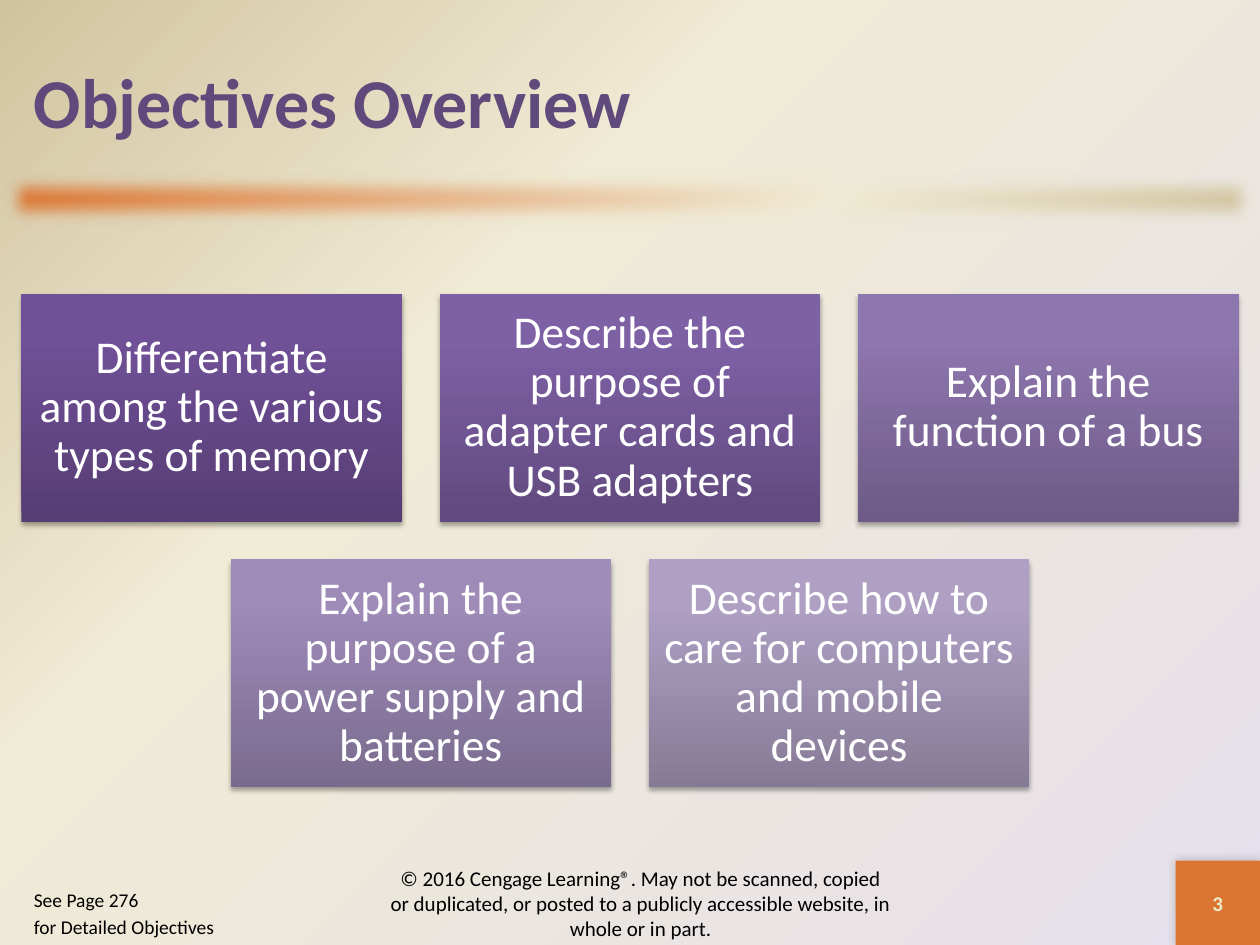
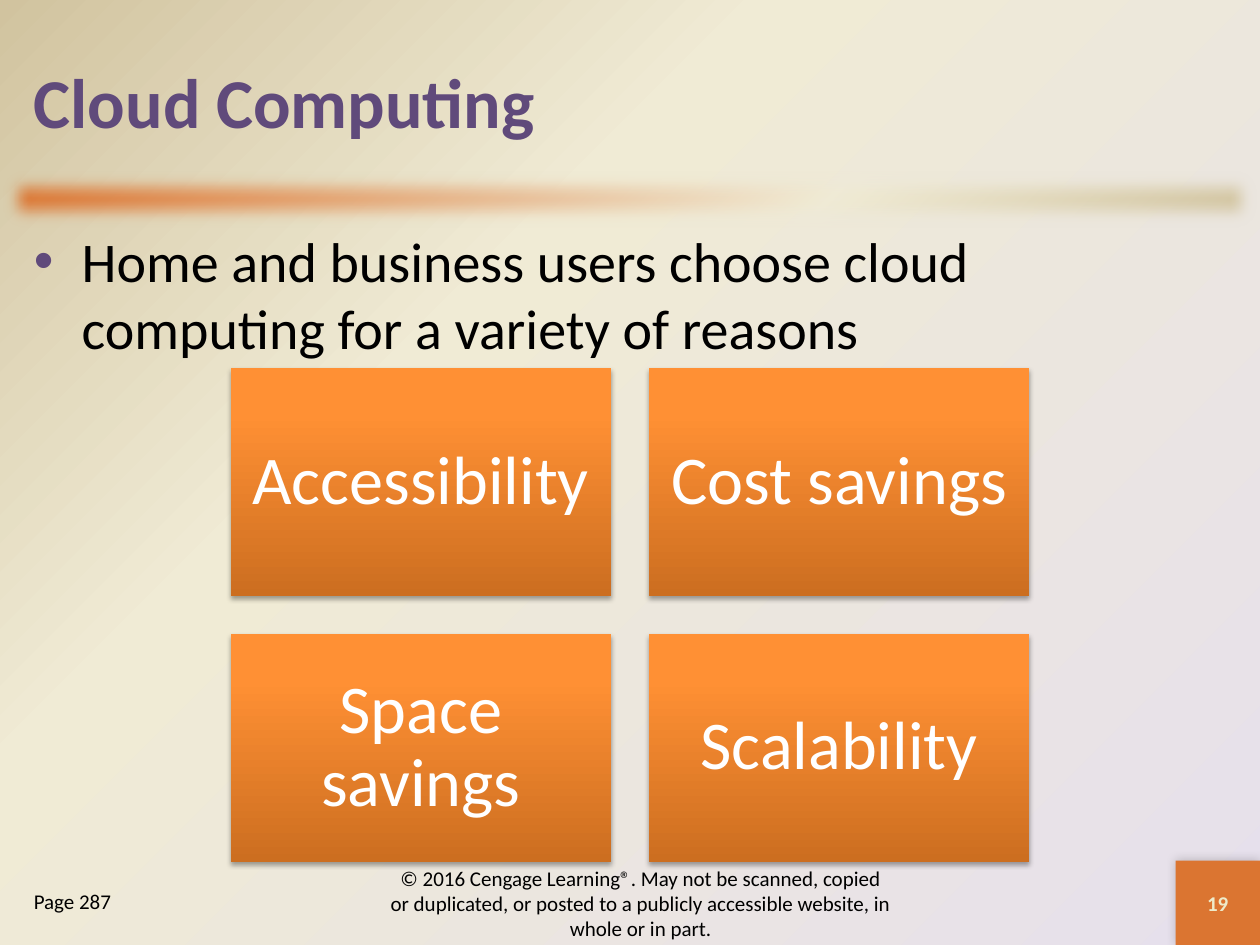
from lxml import etree
from pptx import Presentation
from pptx.dml.color import RGBColor
from pptx.enum.shapes import MSO_SHAPE
from pptx.enum.text import MSO_ANCHOR, PP_ALIGN
from pptx.oxml.ns import qn
from pptx.util import Inches, Pt

RECTANGLE = MSO_SHAPE.RECTANGLE
TOP, MIDDLE = MSO_ANCHOR.TOP, MSO_ANCHOR.MIDDLE
LEFT, CENTER = PP_ALIGN.LEFT, PP_ALIGN.CENTER

WIDTH, HEIGHT = 10, 7.5
MARGIN = 0.17
TILE_W, TILE_H, GAP = 3.02, 1.81, 0.3
SQUARE = 0.67
FONT = "Calibri"
PURPLE, ORANGE, BLACK, WHITE, CREAM = "604A7B", "DB7531", "000000", "FFFFFF", "EEEBCA"

BACKGROUND = [(0, "E6E0EC"), (65, "F0EBD5"), (100, "D1C39F")]
BAND = [(0, ORANGE)] + BACKGROUND[1:]
PURPLE_TILES = [
    ("563D74", "705097", "704F99"),
    ("614A7F", "7E60A5", "7F60A7"),
    ("6D5B86", "8E76AE", "8E75B0"),
    ("796B8E", "9E8BB8", "9E8BBA"),
    ("867B96", "AE9FC3", "AE9FC4"),
]
ORANGE_TILES = [("CC6E20", "FF9034", "FF9136")] * 4
TILE_STOPS = (0, 80, 100)
TILE_SHADOW = {"opacity": 35, "blur": 3.1, "distance": 1.8, "angle": 90}
SQUARE_SHADOW = {"opacity": 20, "blur": 6, "distance": 0, "angle": 225}

COPYRIGHT = ("© 2016 Cengage Learning®. May not be scanned, copied or duplicated, "
             "or posted to a publicly accessible website, in whole or in part.")
SLIDES = [
    {
        "title": "Objectives Overview",
        "number": "3",
        "pages": ["See Page 276", "for Detailed Objectives"],
        "pages_size": 11.1,
        "bullet": None,
        "tile_rows": [
            ["Differentiate among the various types of memory",
             "Describe the purpose of adapter cards and USB adapters",
             "Explain the function of a bus"],
            ["Explain the purpose of a power supply and batteries",
             "Describe how to care for computers and mobile devices"],
        ],
        "tile_colors": PURPLE_TILES, "tiles_top": 2.33, "tile_size": 26, "tile_inset": 0.11,
    },
    {
        "title": "Cloud Computing",
        "number": "19",
        "pages": ["Page 287"],
        "pages_size": 12,
        "bullet": "Home and business users choose cloud computing for a variety of reasons",
        "tile_rows": [["Accessibility", "Cost savings"], ["Space savings", "Scalability"]],
        "tile_colors": ORANGE_TILES, "tiles_top": 2.92, "tile_size": 39, "tile_inset": 0.16,
    },
]


def rgb(color):
    return RGBColor.from_string(color)


def add_xml(parent, tag, **attributes):
    values = {name: str(value) for name, value in attributes.items()}
    return etree.SubElement(parent, qn(tag), values)


def set_gradient(fill, owner, stops, angle=None):
    """Fill with stops of (percent, colour): linear at angle, else round from the lower right."""
    fill.gradient()
    gradient = next(owner.iter(qn("a:gradFill")))
    for child in list(gradient):
        gradient.remove(child)
    stop_list = add_xml(gradient, "a:gsLst")
    for percent, color in stops:
        add_xml(add_xml(stop_list, "a:gs", pos=percent * 1000), "a:srgbClr", val=color)
    if angle is None:
        circle = add_xml(gradient, "a:path", path="circle")
        add_xml(circle, "a:fillToRect", l=100000, t=100000)
    else:
        add_xml(gradient, "a:lin", ang=angle * 60000, scaled=0)


def effects(shape):
    return shape.element.spPr.find(qn("a:effectLst"))


def add_shadow(shape, opacity, blur, distance, angle):
    shadow = add_xml(effects(shape), "a:outerShdw", blurRad=Pt(blur), dist=Pt(distance),
                     dir=angle * 60000, algn="ctr", rotWithShape=0)
    add_xml(add_xml(shadow, "a:srgbClr", val=BLACK), "a:alpha", val=opacity * 1000)


def add_rectangle(slide, *box):
    shape = slide.shapes.add_shape(RECTANGLE, *map(Inches, box))
    shape.line.fill.background()
    shape.shadow.inherit = False
    return shape


def add_textbox(slide, *box):
    return slide.shapes.add_textbox(*map(Inches, box))


def write(shape, lines, size, color, bold=False, align=LEFT, anchor=MIDDLE,
          inset=None, spacing=None, bullet=False):
    frame = shape.text_frame
    frame.word_wrap = True
    frame.vertical_anchor = anchor
    if inset is not None:
        for side in ("left", "right", "top", "bottom"):
            setattr(frame, f"margin_{side}", Inches(inset))
    for index, line in enumerate(lines):
        paragraph = frame.add_paragraph() if index else frame.paragraphs[0]
        paragraph.alignment = align
        paragraph.line_spacing = spacing
        if index:
            paragraph.space_before = Pt(size * 0.2)
        if bullet:
            add_bullet(paragraph)
        run = paragraph.add_run()
        run.text = line
        for name, value in {"name": FONT, "size": Pt(size), "bold": bold}.items():
            setattr(run.font, name, value)
        run.font.color.rgb = rgb(color)


def add_bullet(paragraph):
    properties = paragraph._p.get_or_add_pPr()
    properties.set("marL", str(Inches(0.38)))
    properties.set("indent", str(-Inches(0.38)))
    add_xml(add_xml(properties, "a:buClr"), "a:srgbClr", val=PURPLE)
    add_xml(properties, "a:buFont", typeface="Arial")
    add_xml(properties, "a:buChar", char="•")


def add_frame(slide, content):
    """Draw what every slide has: background, band, title and footer."""
    set_gradient(slide.background.fill, slide.element, BACKGROUND)

    band = add_rectangle(slide, 0, 1.33, WIDTH, 0.5)
    set_gradient(band.fill, band.element, BAND, 45)
    add_xml(effects(band), "a:softEdge", rad=Pt(10))

    title = add_textbox(slide, MARGIN, MARGIN, WIDTH - 2 * MARGIN, 1.25)
    write(title, [content["title"]], 40, PURPLE, bold=True)

    square = add_rectangle(slide, WIDTH - SQUARE, HEIGHT - SQUARE, SQUARE, SQUARE)
    square.fill.solid()
    square.fill.fore_color.rgb = rgb(ORANGE)
    add_shadow(square, **SQUARE_SHADOW)
    write(square, [content["number"]], 12, CREAM, bold=True, align=CENTER)

    write(add_textbox(slide, 3, 6.92, 4.17, 0.5), [COPYRIGHT], 12, BLACK, align=CENTER)
    write(add_textbox(slide, MARGIN, 7, 1.83, 0.5), content["pages"],
          content["pages_size"], BLACK, anchor=TOP)


def add_tiles(slide, content):
    """Lay the tiles out in rows, each row centred on the slide."""
    colors = iter(content["tile_colors"])
    for row, labels in enumerate(content["tile_rows"]):
        row_width = len(labels) * (TILE_W + GAP) - GAP
        left = (WIDTH - row_width) / 2
        top = content["tiles_top"] + row * (TILE_H + GAP)
        for column, label in enumerate(labels):
            tile = add_rectangle(slide, left + column * (TILE_W + GAP), top, TILE_W, TILE_H)
            set_gradient(tile.fill, tile.element, zip(TILE_STOPS, next(colors)), 270)
            add_shadow(tile, **TILE_SHADOW)
            write(tile, [label], content["tile_size"], WHITE, align=CENTER,
                  inset=content["tile_inset"], spacing=0.9)


def main():
    deck = Presentation()
    deck.slide_width, deck.slide_height = Inches(WIDTH), Inches(HEIGHT)
    for content in SLIDES:
        slide = deck.slides.add_slide(deck.slide_layouts[6])
        add_frame(slide, content)
        if content["bullet"]:
            body = add_textbox(slide, MARGIN, 1.75, WIDTH - 2 * MARGIN, 5.08)
            write(body, [content["bullet"]], 32, BLACK, anchor=TOP, bullet=True)
        add_tiles(slide, content)
    deck.save("out.pptx")


if __name__ == "__main__":
    main()
